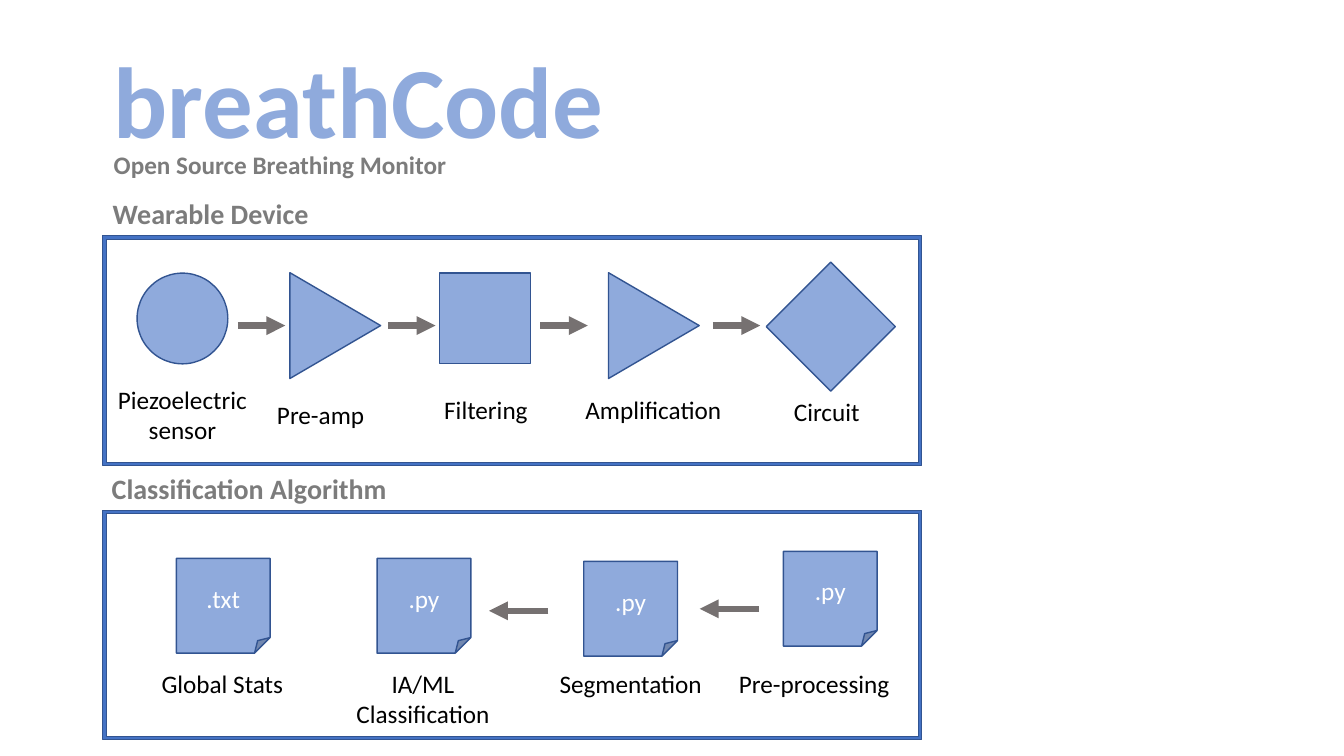
from dataclasses import dataclass

from lxml import etree
from pptx import Presentation
from pptx.dml.color import RGBColor
from pptx.enum.shapes import MSO_CONNECTOR, MSO_SHAPE
from pptx.enum.text import MSO_ANCHOR, MSO_AUTO_SIZE, PP_ALIGN
from pptx.oxml.ns import qn
from pptx.util import Inches, Pt

OVAL = MSO_SHAPE.OVAL
SQUARE = MSO_SHAPE.RECTANGLE
WEDGE = MSO_SHAPE.ISOSCELES_TRIANGLE
DIAMOND = MSO_SHAPE.DIAMOND
PAGE = MSO_SHAPE.FOLDED_CORNER
FRAME = MSO_SHAPE.FRAME
STRAIGHT = MSO_CONNECTOR.STRAIGHT
LEFT, CENTER = PP_ALIGN.LEFT, PP_ALIGN.CENTER
TOP, MIDDLE = MSO_ANCHOR.TOP, MSO_ANCHOR.MIDDLE
GROW = MSO_AUTO_SIZE.SHAPE_TO_FIT_TEXT

BLUE, ROYAL, NAVY = "8FAADC", "4472C4", "325491"
GREY, STEEL, BLACK, WHITE = "7C7C7C", "767171", "000000", "FFFFFF"
FACE = "Calibri"


@dataclass
class Box:
    left: float
    top: float
    width: float
    height: float

    def place(self) -> tuple:
        return tuple(Inches(n) for n in (self.left, self.top, self.width, self.height))


@dataclass
class Label:
    text: str
    box: Box
    size: int = 18
    color: str = BLACK
    bold: bool = False
    align: PP_ALIGN = CENTER


@dataclass
class Node:
    kind: MSO_SHAPE
    box: Box
    turn: int = 0
    text: str = ""
    fill: str = BLUE
    weight: float = 1


@dataclass
class Arrow:
    start: float
    end: float
    y: float


def paint(target, color: str) -> None:
    target.solid()
    target.fore_color.rgb = RGBColor.from_string(color)


def write(frame, label: Label) -> None:
    frame.text = label.text
    par = frame.paragraphs[0]
    par.alignment = label.align
    font = par.runs[0].font
    style = {"name": FACE, "size": Pt(label.size), "bold": label.bold}
    for key, value in style.items():
        setattr(font, key, value)
    paint(font.fill, label.color)


def fit(shape, label: Label, wrap: bool = True) -> None:
    frame = shape.text_frame
    write(frame, label)
    style = {"word_wrap": wrap, "auto_size": GROW, "vertical_anchor": TOP}
    for key, value in style.items():
        setattr(frame, key, value)


def add_title(slide, label: Label) -> None:
    title = slide.shapes.title
    keys = ("left", "top", "width", "height")
    for key, value in zip(keys, label.box.place()):
        setattr(title, key, value)
    fit(title, label, wrap=False)
    title.text_frame.paragraphs[0].line_spacing = 1.0
    title.text_frame.paragraphs[0].space_before = Pt(0)


def add_label(slide, label: Label) -> None:
    fit(slide.shapes.add_textbox(*label.box.place()), label)


def add_node(slide, node: Node) -> None:
    shape = slide.shapes.add_shape(node.kind, *node.box.place())
    shape.shadow.inherit = False
    shape.rotation = node.turn
    paint(shape.fill, node.fill)
    paint(shape.line.fill, NAVY)
    shape.line.width = Pt(node.weight)
    if node.kind == FRAME:
        shape.adjustments[0] = 0.015
    if node.text:
        write(shape.text_frame, Label(node.text, node.box, color=WHITE))
        shape.text_frame.vertical_anchor = MIDDLE


def add_arrow(slide, arrow: Arrow) -> None:
    y = Inches(arrow.y)
    line = slide.shapes.add_connector(
        STRAIGHT, Inches(arrow.start), y, Inches(arrow.end), y)
    paint(line.line.fill, STEEL)
    line.line.width = Pt(4.5)
    props = line._element.spPr
    etree.SubElement(props.find(qn("a:ln")), qn("a:tailEnd"), type="triangle")
    etree.SubElement(props, qn("a:effectLst"))


def head(text: str, left: float, top: float, size: int) -> Label:
    return Label(text, Box(left, top, 3.87, 0.44 if size == 20 else 0.4),
                 size, GREY, True, LEFT)


def page(text: str, left: float, top: float) -> Node:
    return Node(PAGE, Box(left, top, 0.93, 0.94), text=text)


def panel(top: float) -> Node:
    return Node(FRAME, Box(1.02, top, 8.12, 2.28), fill=ROYAL, weight=0.75)


TITLE = Label("breathCode", Box(1.03, 0.32, 5.11, 1.31), 72, BLUE, True, LEFT)

NODES = [
    panel(2.34),
    Node(OVAL, Box(1.36, 2.71, 0.9, 0.9)),
    Node(WEDGE, Box(2.8, 2.78, 1.05, 0.9), turn=90),
    Node(SQUARE, Box(4.36, 2.71, 0.9, 0.9)),
    Node(WEDGE, Box(5.96, 2.78, 1.05, 0.9), turn=90),
    Node(DIAMOND, Box(7.6, 2.6, 1.28, 1.28)),
    panel(5.06),
    page(".txt", 1.75, 5.54),
    page(".py", 3.74, 5.54),
    page(".py", 5.79, 5.57),
    page(".py", 7.77, 5.47),
]

LABELS = [
    head("Open Source Breathing Monitor", 1.03, 1.43, 18),
    head("Wearable Device", 1.02, 1.9, 20),
    head("Classification Algorithm", 1.01, 4.63, 20),
    Label("Piezoelectric sensor", Box(1.03, 3.76, 1.56, 0.71)),
    Label("Pre-amp", Box(2.4, 3.91, 1.56, 0.4)),
    Label("Filtering", Box(4.04, 3.86, 1.56, 0.4)),
    Label("Amplification", Box(5.7, 3.86, 1.56, 0.4)),
    Label("Circuit", Box(7.42, 3.88, 1.56, 0.4)),
    Label("Global Stats", Box(1.35, 6.58, 1.71, 0.4)),
    Label("IA/ML Classification", Box(3.34, 6.58, 1.71, 0.71)),
    Label("Segmentation", Box(5.4, 6.58, 1.71, 0.4)),
    Label("Pre-processing", Box(7.22, 6.58, 1.71, 0.4)),
]

ARROWS = [Arrow(x, x + 0.47, 3.23) for x in (2.36, 3.85, 5.36, 7.07)]
ARROWS += [Arrow(x, x - 0.59, y) for x, y in ((7.53, 6.04), (5.44, 6.06))]


def main() -> None:
    deck = Presentation()
    deck.slide_width, deck.slide_height = Inches(13.33), Inches(7.5)
    slide = deck.slides.add_slide(deck.slide_layouts[5])
    add_title(slide, TITLE)
    for node in NODES:
        add_node(slide, node)
    for label in LABELS:
        add_label(slide, label)
    for arrow in ARROWS:
        add_arrow(slide, arrow)
    deck.save("out.pptx")


if __name__ == "__main__":
    main()
